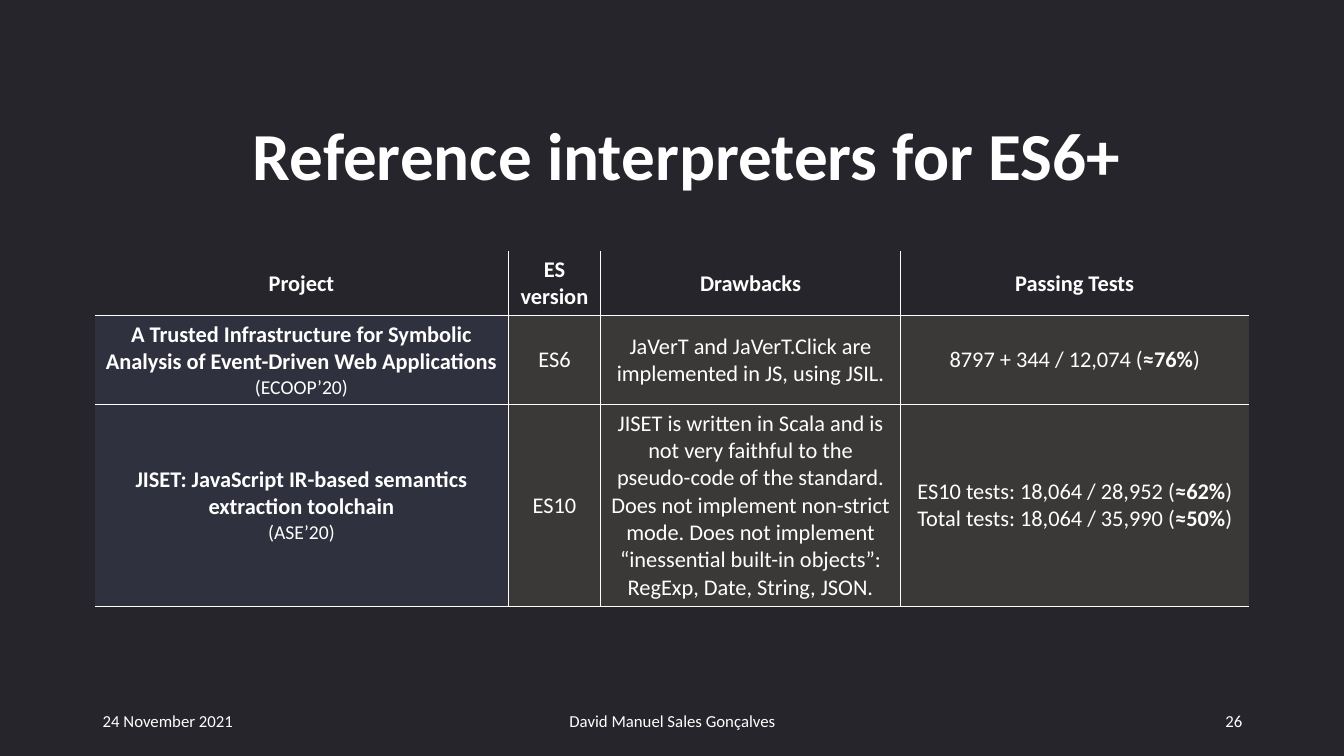
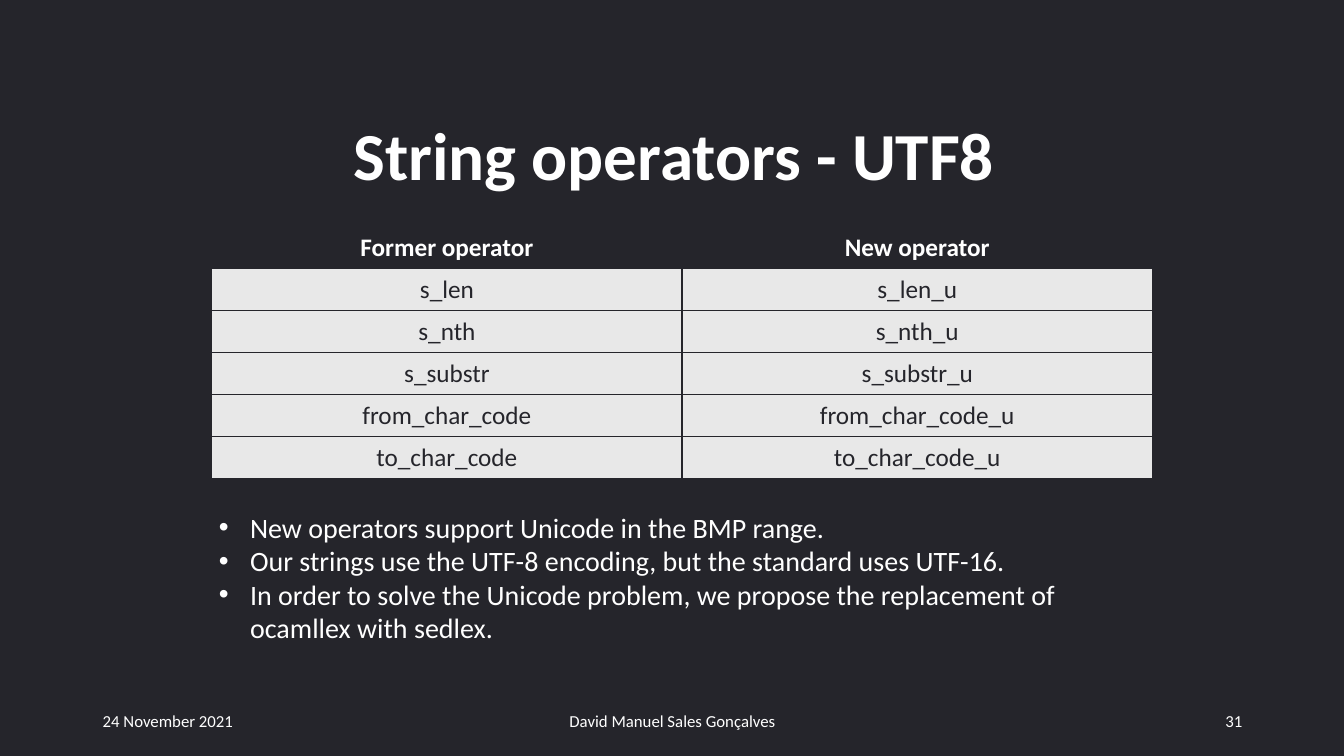
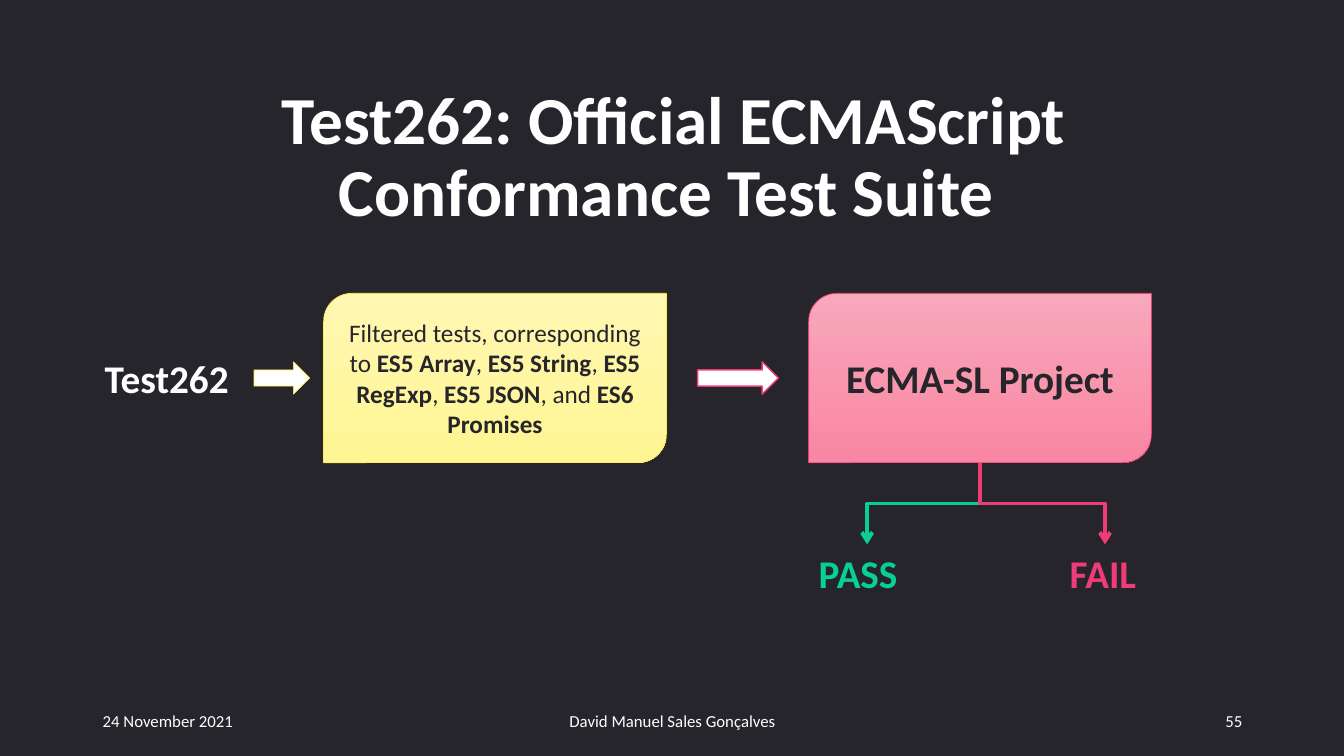
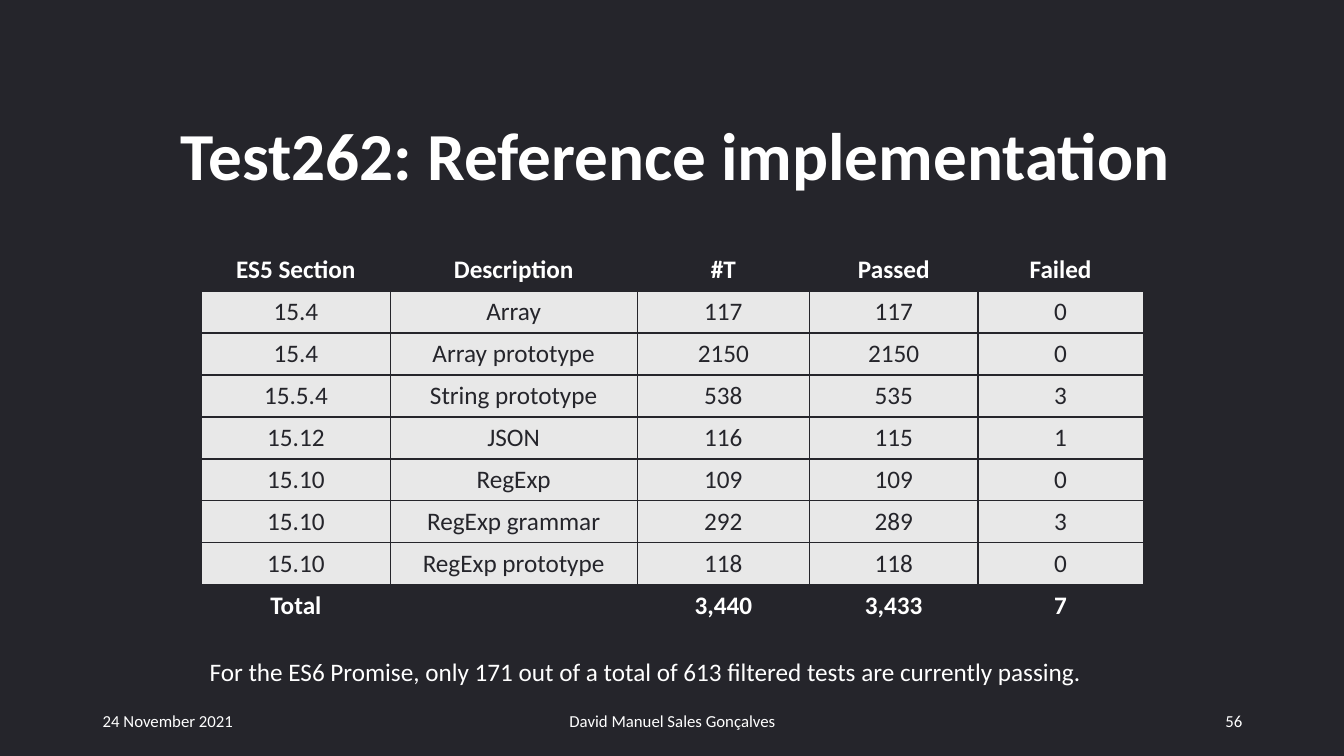
from pptx import Presentation
from pptx.dml.color import RGBColor
from pptx.enum.dml import MSO_FILL
from pptx.enum.shapes import MSO_CONNECTOR, MSO_SHAPE
from pptx.enum.text import MSO_ANCHOR, MSO_AUTO_SIZE, PP_ALIGN
from pptx.oxml.ns import qn
from pptx.util import Inches, Pt
from lxml import etree

LEFT, CENTER, RIGHT = PP_ALIGN.LEFT, PP_ALIGN.CENTER, PP_ALIGN.RIGHT
TOP, MIDDLE = MSO_ANCHOR.TOP, MSO_ANCHOR.MIDDLE
FIXED = MSO_AUTO_SIZE.NONE
ELBOW = MSO_CONNECTOR.ELBOW
CARD, ARROW = MSO_SHAPE.ROUND_2_DIAG_RECTANGLE, MSO_SHAPE.RIGHT_ARROW

COLORS = {
    "dark": "25252B",
    "white": "FFFFFF",
    "navy": "30313E",
    "gray": "3B3838",
    "pale": "E8E8E8",
    "yellow": "FDEF54",
    "cream": "FFF7B2",
    "lemon": "FFF593",
    "pink": "EF3C77",
    "blush": "F8A8BB",
    "rose": "F986A2",
    "green": "08CF96",
}
FONT = "Calibri"
PLAIN_TABLE = "{2D5ABB26-0587-4C30-8999-92F81FD0307C}"


def color(name):
    return RGBColor.from_string(COLORS[name])


def write(frame, text, size=18, ink="white", bold=False, align=LEFT, lead=1.0, indent=0):
    """Add one paragraph; asterisks switch bold on and off."""
    para = frame.paragraphs[0]
    if para.runs:
        para = frame.add_paragraph()
    para.alignment = align
    para.line_spacing = lead
    para.space_before = Pt(0)
    if indent:
        props = para._p.get_or_add_pPr()
        props.set("marL", str(Inches(indent)))
        props.set("indent", str(-Inches(indent)))
    for index, part in enumerate(text.split("*")):
        if part:
            run = para.add_run()
            run.text = part
            run.font.name = FONT
            run.font.size = Pt(size)
            run.font.bold = bold or index % 2 == 1
            run.font.color.rgb = color(ink)


class Deck:
    def __init__(self):
        self.prs = Presentation()
        self.prs.slide_width = Inches(13.33)
        self.prs.slide_height = Inches(7.5)
        back = self.prs.slide_master.background.fill
        back.solid()
        back.fore_color.rgb = color("dark")
        self.slide = None

    def start(self, title, page, left=2.39, width=8.59, body=False):
        layout = self.prs.slide_layouts[1 if body else 5]
        self.slide = self.prs.slides.add_slide(layout)
        frame = self.place(self.slide.shapes.title, (left, 0.85, width, 1.45), MIDDLE)
        write(frame, title, size=48, bold=True, align=CENTER, lead=0.9)
        for text, x, wide, align in (
            ("24 November 2021", 0.92, 3, LEFT),
            ("David Manuel Sales Gonçalves", 4.42, 4.5, CENTER),
            (str(page), 9.42, 3, RIGHT),
        ):
            self.text(text, (x, 6.95, wide, 0.4), anchor=MIDDLE, size=12, align=align)

    def place(self, holder, at, anchor):
        holder.left, holder.top, holder.width, holder.height = map(Inches, at)
        frame = holder.text_frame
        frame.word_wrap = True
        frame.auto_size = FIXED
        frame.vertical_anchor = anchor
        return frame

    def text(self, text, at, anchor=TOP, **style):
        box = self.slide.shapes.add_textbox(*map(Inches, at))
        write(self.place(box, at, anchor), text, **style)

    def bullets(self, items, at):
        frame = self.place(self.slide.placeholders[1], at, TOP)
        for item in items:
            write(frame, item, size=20, indent=0.31)

    def shape(self, kind, at, fills, line, width=0.5, text="", **style):
        shape = self.slide.shapes.add_shape(kind, *map(Inches, at))
        shape.shadow.inherit = False
        if len(fills) > 1:
            shape.fill.gradient()
            shape.fill.gradient_angle = 270
            for stop, name in zip(shape.fill.gradient_stops, fills):
                stop.color.rgb = color(name)
        else:
            shape.fill.solid()
            shape.fill.fore_color.rgb = color(fills[0])
        shape.line.color.rgb = color(line)
        shape.line.width = Pt(width)
        if text:
            shape.text_frame.vertical_anchor = MIDDLE
            write(shape.text_frame, text, ink="dark", align=CENTER, **style)

    def branch(self, start, end, ink):
        (x1, y1), (x2, y2) = start, end
        mid_x, mid_y = (x1 + x2) / 2, (y1 + y2) / 2
        half, drop = (x2 - x1) / 2, (y2 - y1) / 2
        ends = (mid_x - drop, mid_y + half, mid_x + drop, mid_y - half)
        link = self.slide.shapes.add_connector(ELBOW, *map(Inches, ends))
        link.line.color.rgb = color(ink)
        link.line.width = Pt(2.75)
        props = link._element.spPr
        props.find(qn("a:xfrm")).set("rot", "5400000")
        etree.SubElement(props.find(qn("a:ln")), qn("a:tailEnd"), type="arrow")
        etree.SubElement(props, qn("a:effectLst"))

    def edges(self, cell, sides, line):
        props = cell._tc.get_or_add_tcPr()
        for index, side in enumerate(sides):
            edge = etree.Element(qn("a:ln" + side), w=str(Pt(1)))
            fill = etree.SubElement(edge, qn("a:solidFill"))
            etree.SubElement(fill, qn("a:srgbClr"), val=COLORS[line])
            props.insert(index, edge)

    def table(self, rows, at, cols=(), heights=(), size=18, body="pale",
              first="pale", ink="dark", line="dark", strong=(0,)):
        last = len(rows[0]) - 1
        table = self.slide.shapes.add_table(len(rows), last + 1, *map(Inches, at)).table
        table.first_row = table.horz_banding = False
        table._tbl.tblPr.find(qn("a:tableStyleId")).text = PLAIN_TABLE
        for col, wide in zip(table.columns, cols):
            col.width = Inches(wide)
        for row, high in zip(table.rows, heights):
            row.height = Inches(high)
        for r, row in enumerate(rows):
            head = r in strong
            for c, text in enumerate(row):
                cell = table.cell(r, c)
                cell.vertical_anchor = MIDDLE
                cell.fill.solid()
                cell.fill.fore_color.rgb = color("dark" if head else body if c else first)
                sides = ["L"] * (c > 0) + ["R"] * (c < last) + ["T"] * (r > 0) + ["B"]
                self.edges(cell, sides, line)
                write(cell.text_frame, text, size=size, bold=head, align=CENTER,
                      ink="white" if head else ink)
        return table


def readers(deck):
    deck.start("Reference interpreters for ES6+", 26, left=2.29, width=9.04)
    rows = [
        ("Project", "ES version", "Drawbacks", "Passing Tests"),
        ("*A Trusted Infrastructure for Symbolic Analysis of Event-Driven Web Applications*",
         "ES6", "JaVerT and JaVerT.Click are implemented in JS, using JSIL.",
         "8797 + 344 / 12,074 (*≈76%*)"),
        ("*JISET: JavaScript IR-based semantics extraction toolchain*", "ES10",
         "JISET is written in Scala and is not very faithful to the pseudo-code of the "
         "standard. Does not implement non-strict mode. Does not implement “inessential "
         "built-in objects”: RegExp, Date, String, JSON.",
         "ES10 tests: 18,064 / 28,952 (*≈62%*)"),
    ]
    table = deck.table(rows, (0.94, 2.49, 11.45, 3.52), cols=(4.1, 0.92, 2.97, 3.46),
                       heights=(0.64, 0.88, 2), size=16, body="gray", first="navy",
                       ink="white", line="white")
    for row, col, text, size in (
        (1, 0, "(ECOOP’20)", 14),
        (2, 0, "(ASE’20)", 14),
        (2, 3, "Total tests: 18,064 / 35,990 (*≈50%*)", 16),
    ):
        write(table.cell(row, col).text_frame, text, size=size, align=CENTER)


def strings(deck):
    deck.start("String operators - UTF8", 31, body=True)
    names = ("s_len", "s_nth", "s_substr", "from_char_code", "to_char_code")
    rows = [("Former operator", "New operator")] + [(name, name + "_u") for name in names]
    deck.table(rows, (2.1, 2.25, 9.33, 2.5))
    deck.bullets((
        "New operators support Unicode in the BMP range.",
        "Our strings use the UTF-8 encoding, but the standard uses UTF-16.",
        "In order to solve the Unicode problem, we propose the replacement of "
        "ocamllex with sedlex.",
    ), (2.07, 5.01, 9.26, 1.45))


def suite(deck):
    deck.start("Test262: Official ECMAScript Conformance Test Suite ", 55)
    deck.shape(CARD, (3.21, 2.91, 3.4, 1.68), ("cream", "lemon"), "yellow",
               text="Filtered tests, corresponding to *ES5 Array*,* ES5 String*,"
                    "* ES5 RegExp*,* ES5 JSON*, and *ES6 Promises*")
    deck.shape(CARD, (8.02, 2.91, 3.4, 1.68), ("blush", "rose"), "pink",
               text="ECMA-SL Project", size=28, bold=True)
    deck.shape(ARROW, (2.52, 3.59, 0.55, 0.32), ("white",), "yellow")
    deck.shape(ARROW, (6.92, 3.59, 0.8, 0.32), ("white",), "pink", width=1)
    for text, x, y, wide, ink in (
        ("Test262", 0.94, 3.47, 1.75, "white"),
        ("PASS", 8.02, 5.4, 1.18, "green"),
        ("FAIL", 10.51, 5.4, 0.9, "pink"),
    ):
        deck.text(text, (x, y, wide, 0.57), size=28, ink=ink, bold=True)
    for x, ink in ((8.6, "green"), (10.96, "pink")):
        deck.branch((9.72, 4.59), (x, 5.4), ink)


def results(deck):
    deck.start("Test262: Reference implementation", 56, left=1.44, width=10.52)
    rows = [
        ("ES5 Section", "Description", "#T", "Passed", "Failed"),
        ("15.4", "Array", "117", "117", "0"),
        ("15.4", "Array prototype", "2150", "2150", "0"),
        ("15.5.4", "String prototype", "538", "535", "3"),
        ("15.12", "JSON", "116", "115", "1"),
        ("15.10", "RegExp", "109", "109", "0"),
        ("15.10", "RegExp grammar", "292", "289", "3"),
        ("15.10", "RegExp prototype", "118", "118", "0"),
        ("Total", "", "3,440", "3,433", "7"),
    ]
    deck.table(rows, (2, 2.47, 9.33, 3.75), cols=(1.87, 2.45, 1.71, 1.67, 1.64),
               strong=(0, len(rows) - 1))
    deck.text("For the ES6 Promise, only 171 out of a total of 613 filtered tests are "
              "currently passing.", (1.98, 6.46, 9.25, 0.4))


def main():
    deck = Deck()
    for build in (readers, strings, suite, results):
        build(deck)
    deck.prs.save("out.pptx")


if __name__ == "__main__":
    main()
